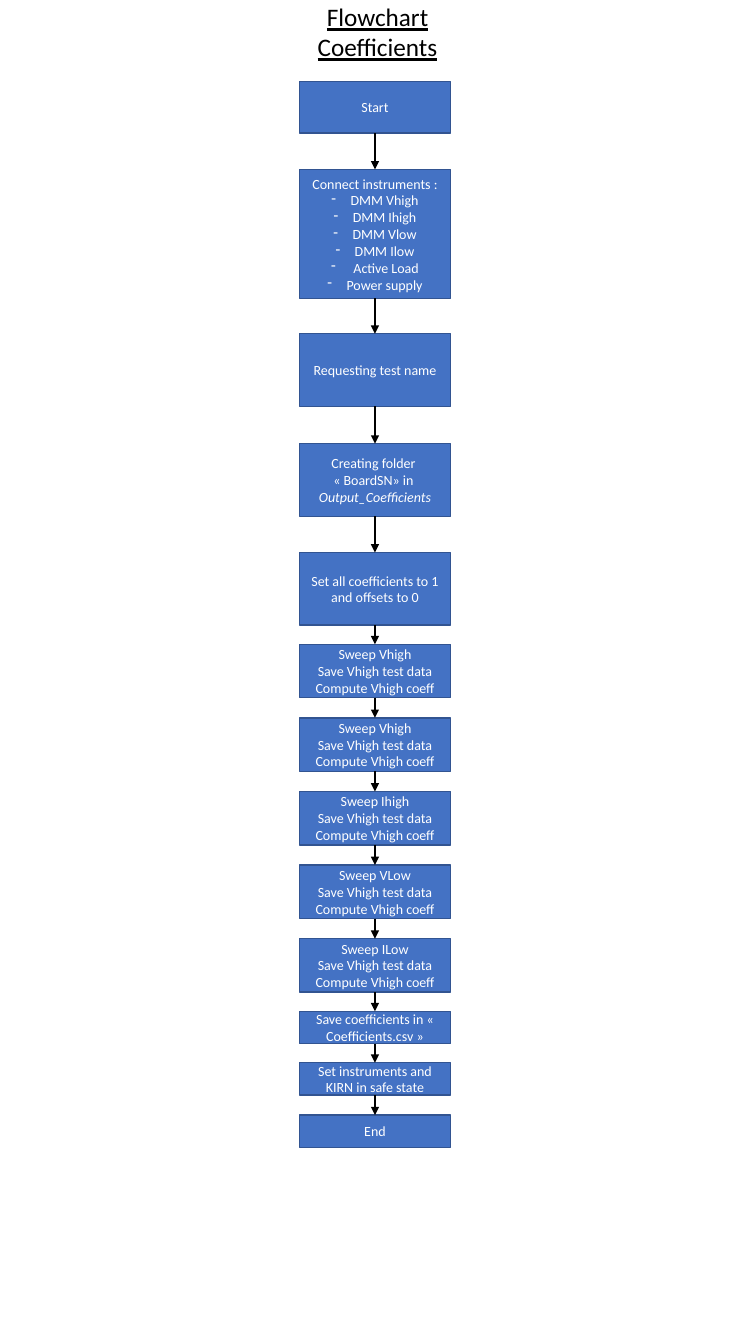
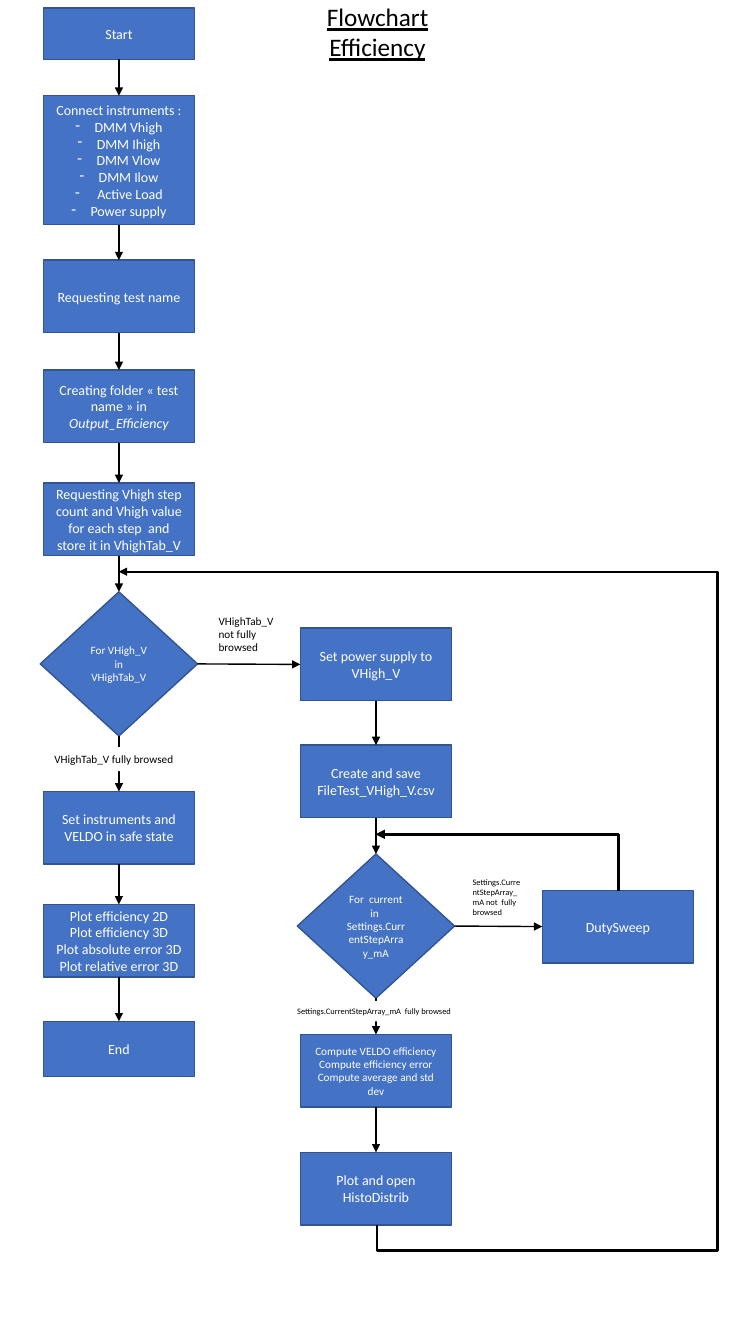
import pptx
import pptx.util
import pptx.dml.color
import pptx.enum.shapes
import pptx.enum.text
import pptx.oxml.ns
import pptx.oxml.xmlchemy

Inches, Pt = pptx.util.Inches, pptx.util.Pt
RGB = pptx.dml.color.RGBColor.from_string
SHAPE = pptx.enum.shapes.MSO_SHAPE
CONNECTOR = pptx.enum.shapes.MSO_CONNECTOR
ALIGN = pptx.enum.text.PP_ALIGN
ANCHOR = pptx.enum.text.MSO_ANCHOR
AUTOSIZE = pptx.enum.text.MSO_AUTO_SIZE
qn = pptx.oxml.ns.qn
new_element = pptx.oxml.xmlchemy.OxmlElement

COLORS = {"box": "4472C4", "edge": "325491", "light": "FFFFFF", "dark": "000000"}
BOX_WIDTH, DIAMOND_WIDTH = 1.5, 1.56
TOP, LEFT, BOTTOM, RIGHT = range(4)


def write_text(frame, text, size, color, align, **extra):
    """One paragraph per line; "- " starts a bullet, "|" starts italics."""
    frame.word_wrap = True
    for number, line in enumerate(text.split("\n")):
        paragraph = frame.add_paragraph() if number else frame.paragraphs[0]
        paragraph.alignment = align
        if line.startswith("- "):
            line = line[2:]
            properties = paragraph._p.get_or_add_pPr()
            properties.set("marL", str(Inches(0.19)))
            properties.set("indent", str(-Inches(0.19)))
            bullet = new_element("a:buChar")
            bullet.set("char", "-")
            properties.append(bullet)
        for part, words in enumerate(line.split("|")):
            if not words:
                continue
            run = paragraph.add_run()
            run.text = words
            run.font.color.rgb = RGB(COLORS[color])
            font_format = {"name": "Calibri", "size": Pt(size), **extra}
            if part:
                font_format["italic"] = True
            for attribute, value in font_format.items():
                setattr(run.font, attribute, value)


def style_arrow(arrow, width):
    arrow.line.width = Pt(width)
    arrow.line.color.rgb = RGB(COLORS["dark"])
    head = new_element("a:tailEnd")
    head.set("type", "triangle")
    properties = arrow.element.spPr
    properties.find(qn("a:ln")).append(head)
    properties.append(new_element("a:effectLst"))


deck = pptx.Presentation()
deck.slide_width, deck.slide_height = Inches(7.5), Inches(13.33)

# Title place, shared through the layout
layout = deck.slide_layouts[5]
title_place = {"left": 2.97, "top": 0.06, "width": 1.55, "height": 0.51}
for attribute, value in title_place.items():
    setattr(layout.placeholders[0], attribute, Inches(value))

slides = []
for heading in ("Flowchart Coefficients", "Flowchart Efficiency"):
    slide = deck.slides.add_slide(layout)
    title = slide.shapes.title.text_frame
    title.auto_size = AUTOSIZE.NONE
    title.vertical_anchor = ANCHOR.MIDDLE
    write_text(title, heading, 18, "dark", ALIGN.CENTER, underline=True)
    slides.append(slide)
coefficients, efficiency = slides

# Steps: offset from the column top, height, text size, text
opening = [
    (0, 0.51, 10, "Start"),
    (0.87, 1.28, 10, "Connect instruments :\n- DMM Vhigh\n- DMM Ihigh\n- DMM Vlow\n"
                     "- DMM Ilow\n-  Active Load\n- Power supply"),
    (2.5, 0.72, 10, "Requesting test name"),
]
sweeps = [
    (5.58 + 0.73 * row, 0.53, 10,
     f"Sweep {quantity}\nSave Vhigh test data\nCompute Vhigh coeff")
    for row, quantity in enumerate(("Vhigh", "Vhigh", "Ihigh", "VLow", "ILow"))
]
coefficient_steps = opening + [
    (3.59, 0.72, 10, "Creating folder \n« BoardSN» in \n|Output_Coefficients"),
    (4.67, 0.72, 10, "Set all coefficients to 1 and offsets to 0"),
] + sweeps + [
    (9.22, 0.32, 10, "Save coefficients in « Coefficients.csv »"),
    (9.73, 0.32, 10, "Set instruments and KIRN in safe state"),
    (10.25, 0.32, 10, "End"),
]
efficiency_steps = opening + [
    (3.59, 0.72, 10, "Creating folder « test name » in |Output_Efficiency"),
    (4.71, 0.72, 10, "Requesting Vhigh step count and Vhigh value for each step  and "
                     "store it in VhighTab_V"),
    (5.79, 1.43, 8, "For VHigh_V in VHighTab_V"),
    (7.77, 0.72, 10, "Set instruments and VELDO in safe state"),
    (8.89, 0.72, 10, "Plot efficiency 2D\nPlot efficiency 3D\nPlot absolute error 3D\n"
                     "Plot relative error 3D"),
    (10.05, 0.55, 10, "End"),
]
current_steps = [
    (0, 0.72, 10, "Set power supply to VHigh_V"),
    (1.16, 0.72, 10, "Create and save FileTest_VHigh_V.csv"),
    (2.24, 1.43, 8, "For  current in \nSettings.CurrentStepArray_mA"),
    (4.03, 0.72, 8, "Compute VELDO efficiency\nCompute efficiency error\n"
                    "Compute average and std dev"),
    (5.2, 0.72, 10, "Plot and open HistoDistrib"),
]
duty_steps = [(0, 0.72, 10, "DutySweep")]

# Columns of boxes, each box joined to the next one
columns = [
    (coefficients, 3.72, 0.81, coefficient_steps),
    (efficiency, 1.18, 0.08, efficiency_steps),
    (efficiency, 3.73, 6.23, current_steps),
    (efficiency, 6.13, 8.83, duty_steps),
]
joins, column_boxes = [], []
for slide, center, column_top, steps in columns:
    boxes = []
    for offset, height, size, text in steps:
        is_loop = text.startswith("For ")
        width = DIAMOND_WIDTH if is_loop else BOX_WIDTH
        box = slide.shapes.add_shape(
            SHAPE.DIAMOND if is_loop else SHAPE.RECTANGLE,
            Inches(center - width / 2), Inches(column_top + offset),
            Inches(width), Inches(height))
        box.shadow.inherit = False
        box.fill.solid()
        box.fill.fore_color.rgb = RGB(COLORS["box"])
        box.line.color.rgb = RGB(COLORS["edge"])
        box.line.width = Pt(1)
        box.text_frame.vertical_anchor = ANCHOR.MIDDLE
        write_text(box.text_frame, text, size, "light", ALIGN.CENTER)
        boxes.append(box)
    joins += [(slide, upper, BOTTOM, lower, TOP) for upper, lower in zip(boxes, boxes[1:])]
    column_boxes.append(boxes)

# Branches from the two loops to the right
_, main_boxes, current_boxes, duty_boxes = column_boxes
joins += [
    (efficiency, main_boxes[5], RIGHT, current_boxes[0], LEFT),
    (efficiency, current_boxes[2], RIGHT, duty_boxes[0], LEFT),
]
for slide, start, start_side, end, end_side in joins:
    arrow = slide.shapes.add_connector(CONNECTOR.STRAIGHT, 0, 0, 0, 0)
    arrow.begin_connect(start, start_side)
    arrow.end_connect(end, end_side)
    style_arrow(arrow, 1)

# Return arrows: left, top, width, height, line width, preset, turn, flip, bends
returns = [
    (4.65, 7.35, 0.56, 2.41, 2.25, "bentConnector2", 270, "flipV", []),
    (-0.78, 7.63, 6.48, 2.56, 1.5, "bentConnector4", 90, "flipH", [-3900, -132000]),
]
for left, top, width, height, weight, preset, turn, flip, bends in returns:
    arrow = efficiency.shapes.add_connector(
        CONNECTOR.ELBOW, Inches(left), Inches(top),
        Inches(left + width), Inches(top + height))
    properties = arrow.element.spPr
    frame = properties.find(qn("a:xfrm"))
    frame.set("rot", str(turn * 60000))
    frame.set(flip, "1")
    geometry = properties.find(qn("a:prstGeom"))
    geometry.set("prst", preset)
    for number, bend in enumerate(bends, 1):
        guide = new_element("a:gd")
        guide.set("name", f"adj{number}")
        guide.set("fmla", f"val {bend}")
        geometry.find(qn("a:avLst")).append(guide)
    style_arrow(arrow, weight)

# Branch labels
labels = [
    (2.07, 6.04, 0.78, 0.5, 8, "VHighTab_V not fully browsed"),
    (0.44, 7.41, 1.52, 0.24, 8, "VHighTab_V fully browsed"),
    (2.85, 9.93, 1.94, 0.2, 6, "Settings.CurrentStepArray_mA  fully browsed"),
    (4.59, 8.65, 0.68, 0.5, 6, "Settings.CurrentStepArray_mA not  fully browsed"),
]
for left, top, width, height, size, text in labels:
    label = efficiency.shapes.add_textbox(*map(Inches, (left, top, width, height)))
    label.fill.solid()
    label.fill.fore_color.rgb = RGB(COLORS["light"])
    label.text_frame.auto_size = AUTOSIZE.SHAPE_TO_FIT_TEXT
    write_text(label.text_frame, text, size, "dark", ALIGN.LEFT)

deck.save("out.pptx")
